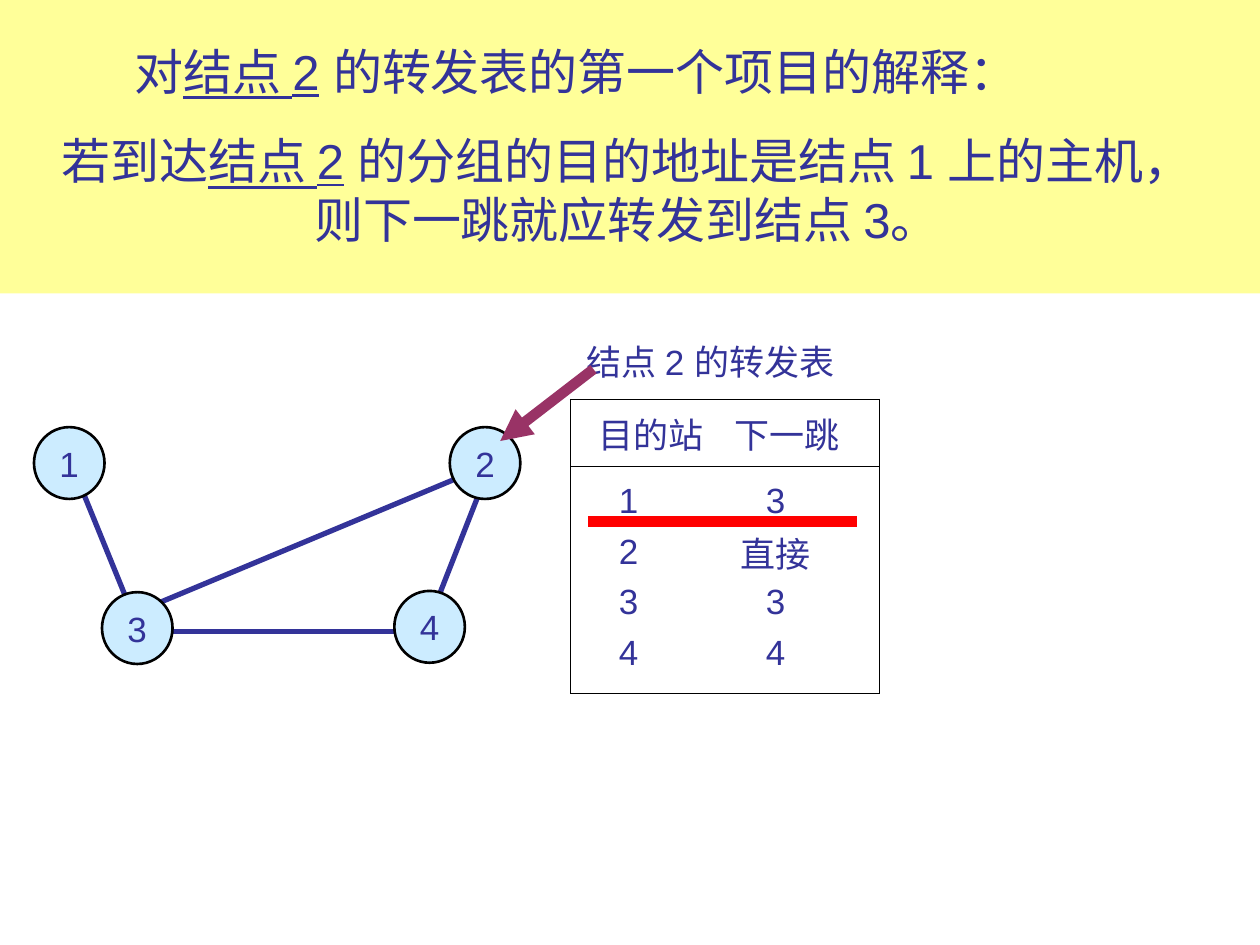
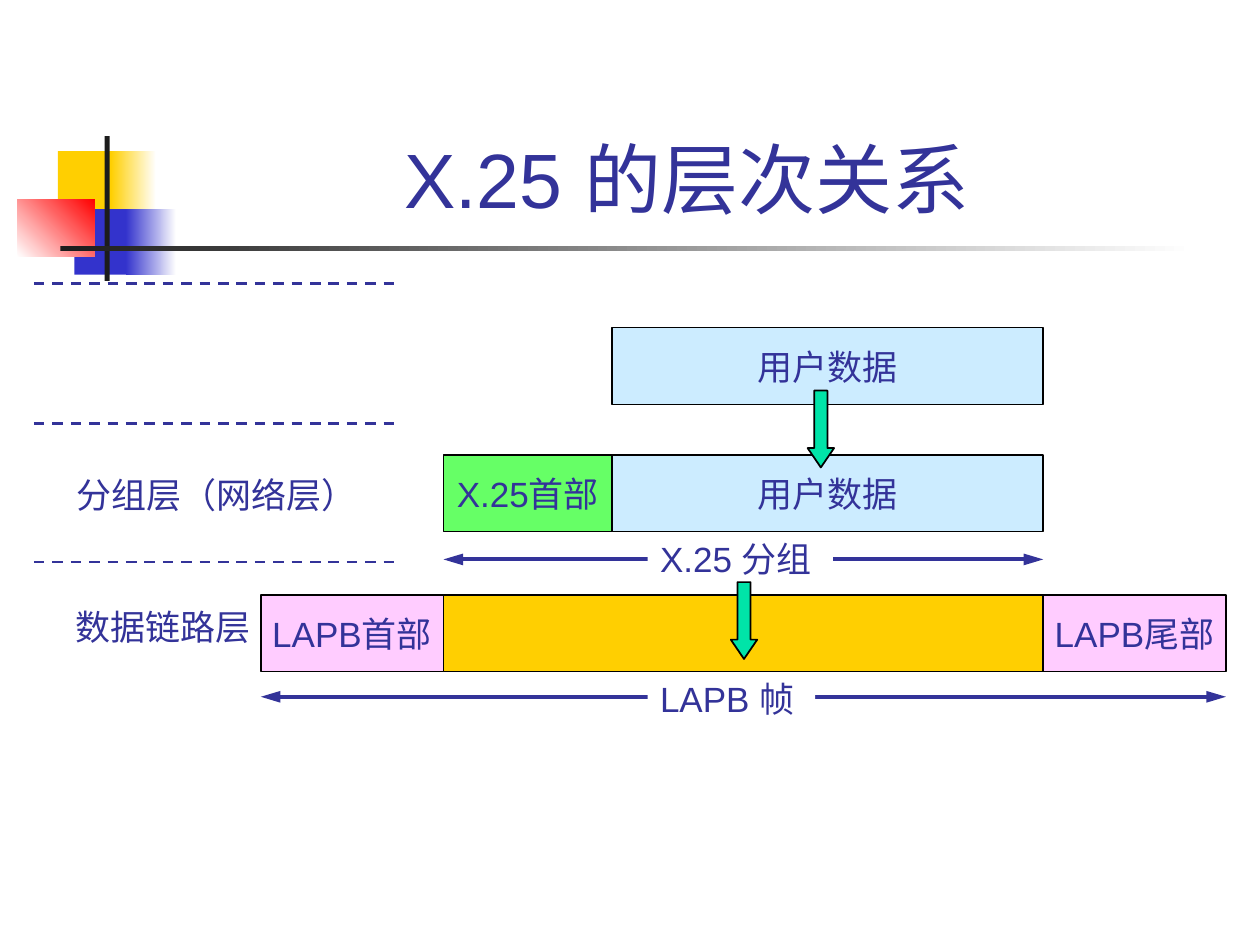
import pptx
import pptx.util
import pptx.dml.color
import pptx.enum.dml
import pptx.enum.shapes
import pptx.enum.text
import pptx.oxml.ns
from lxml import etree

Inches = pptx.util.Inches
Pt = pptx.util.Pt
RGBColor = pptx.dml.color.RGBColor
Preset = pptx.enum.shapes.MSO_SHAPE
Align = pptx.enum.text.PP_ALIGN
Anchor = pptx.enum.text.MSO_ANCHOR
qn = pptx.oxml.ns.qn

FONT = "Arial"
INDIGO = RGBColor(0x33, 0x33, 0x99)
BLACK = RGBColor(0, 0, 0)
WHITE = RGBColor(0xFF, 0xFF, 0xFF)
SKY = RGBColor(0xCC, 0xEC, 0xFF)
CREAM = RGBColor(0xFF, 0xFF, 0x99)
RED = RGBColor(0xFF, 0, 0)
PLUM = RGBColor(0x99, 0x33, 0x66)
GOLD = RGBColor(0xFF, 0xCF, 0x01)
BLUE = RGBColor(0x33, 0x33, 0xCC)
CHARCOAL = RGBColor(0x1C, 0x1C, 0x1C)
GREEN = RGBColor(0x66, 0xFF, 0x66)
PINK = RGBColor(0xFF, 0xCC, 0xFF)
TEAL = RGBColor(0, 0xE4, 0xA8)


def add_box(slide, preset, place, fill=None, border=0, text="", size=20, align=Align.CENTER):
    """Add a preset shape, or a text box if preset is None; text between bars is underlined."""
    place = [Inches(value) for value in place]
    if preset is None:
        shape = slide.shapes.add_textbox(*place)
    else:
        shape = slide.shapes.add_shape(preset, *place)
        shape.shadow.inherit = False
        if border:
            shape.line.color.rgb = BLACK
            shape.line.width = Pt(border)
        else:
            shape.line.fill.background()
    if fill is not None:
        shape.fill.solid()
        shape.fill.fore_color.rgb = fill
    if text:
        frame = shape.text_frame
        frame.word_wrap = preset is None
        frame.vertical_anchor = Anchor.TOP if preset is None else Anchor.MIDDLE
        if align == Align.LEFT:
            frame.margin_right = 0
        for index, content in enumerate(text.split("\n")):
            paragraph = frame.add_paragraph() if index else frame.paragraphs[0]
            paragraph.alignment = align
            for position, piece in enumerate(content.split("|")):
                run = paragraph.add_run()
                run.text = piece
                run.font.name = FONT
                run.font.size = Pt(size)
                run.font.color.rgb = INDIGO
                if position % 2:
                    run.font.underline = True
    return shape


def add_line(slide, start, end, color=INDIGO, width=3, heads=(), head_length="med"):
    """Add a straight line; heads lists headEnd and/or tailEnd."""
    ends = [Inches(value) for value in (*start, *end)]
    line = slide.shapes.add_connector(pptx.enum.shapes.MSO_CONNECTOR.STRAIGHT, *ends)
    line.line.color.rgb = color
    line.line.width = Pt(width)
    outline = line.line._get_or_add_ln()
    for head in heads:
        etree.SubElement(outline, qn("a:" + head), type="triangle", w="med", len=head_length)
    etree.SubElement(line._element.spPr, qn("a:effectLst"))
    return line


presentation = pptx.Presentation()
presentation.slide_width = Inches(10)
presentation.slide_height = Inches(7.5)

# Slide 1: network and forwarding table of node 2
slide = presentation.slides.add_slide(presentation.slide_layouts[6])

links = [
    ((3.84, 3.82), (3.44, 4.84)),
    ((0.64, 3.86), (1.08, 4.94)),
    ((1.2, 5.01), (3.23, 5.01)),
    ((1.2, 4.81), (3.69, 3.77)),
]
for start, end in links:
    add_line(slide, start, end)

nodes = {"1": (0.27, 3.39), "2": (3.57, 3.39), "4": (3.13, 4.69), "3": (0.81, 4.7)}
for name, corner in nodes.items():
    add_box(slide, Preset.OVAL, (*corner, 0.56, 0.57), SKY, 1.5, name)

rows = [("目的站", "下一跳"), ("1", "3"), ("2", "直接"), ("3", "3"), ("4", "4")]
row_heights = [0.53, 0.48, 0.4, 0.4, 0.52]
column_widths = [1.28, 1.17]
header_margins = [0, 0.29]
body_margins = [0.36, 0.48]
table_frame = slide.shapes.add_table(
    len(rows), 2, Inches(4.53), Inches(3.17), Inches(sum(column_widths)), Inches(sum(row_heights))
)
table = table_frame.table
table.first_row = table.horz_banding = False
for column, width in zip(table.columns, column_widths):
    column.width = Inches(width)
last_row = len(rows) - 1
for row_index, values in enumerate(rows):
    table.rows[row_index].height = Inches(row_heights[row_index])
    right_margins = body_margins if row_index else header_margins
    for column_index, value in enumerate(values):
        cell = table.cell(row_index, column_index)
        cell.text = value
        cell.vertical_anchor = Anchor.MIDDLE
        cell.margin_left = 0
        cell.margin_right = Inches(right_margins[column_index])
        cell.margin_top = Inches(0.08 if row_index == 1 else 0)
        cell.margin_bottom = Inches(0.12 if row_index == last_row else 0)
        cell.fill.solid()
        cell.fill.fore_color.rgb = WHITE
        paragraph = cell.text_frame.paragraphs[0]
        paragraph.alignment = Align.CENTER
        font = paragraph.runs[0].font
        font.name, font.size, font.color.rgb = FONT, Pt(20), INDIGO

        drawn_sides = {
            "lnL": column_index == 0,
            "lnR": column_index == 1,
            "lnT": row_index in (0, 1),
            "lnB": row_index in (0, last_row),
        }
        properties = cell._tc.get_or_add_tcPr()
        for position, (side, drawn) in enumerate(drawn_sides.items()):
            border = etree.Element(qn("a:" + side), w=str(Pt(0.75)))
            if drawn:
                solid = etree.SubElement(border, qn("a:solidFill"))
                etree.SubElement(solid, qn("a:srgbClr"), val=str(BLACK))
            else:
                etree.SubElement(border, qn("a:noFill"))
            properties.insert(position, border)

add_box(slide, None, (4.56, 2.65, 2.3, 0.44), text="结点 2 的转发表", align=Align.LEFT)
add_box(slide, Preset.RECTANGLE, (0, 0, 10, 2.33), CREAM)
add_box(slide, None, (0.97, 0.28, 7.4, 0.57), size=28, align=Align.LEFT,
        text="对|结点 2| 的转发表的第一个项目的解释：")
add_box(slide, None, (0.2, 0.99, 9.55, 1.04), size=28,
        text="若到达|结点 2| 的分组的目的地址是结点 1 上的主机，\n则下一跳就应转发到结点 3。")
add_line(slide, (4.67, 4.14), (6.8, 4.14), RED, 6)
add_line(slide, (4.71, 2.93), (3.97, 3.5), PLUM, 6, ["tailEnd"])

# Slide 2: X.25 layers
slide = presentation.slides.add_slide(presentation.slide_layouts[5])

ornaments = [
    ((0.46, 1.2, 0.48, 0.52), GOLD, None, 0),
    ((0.88, 1.2, 0.36, 0.52), GOLD, WHITE, 0),
    ((0.59, 1.66, 0.46, 0.52), BLUE, None, 0),
    ((1, 1.66, 0.4, 0.52), BLUE, WHITE, 0),
    ((0.14, 1.58, 0.61, 0.46), WHITE, RED, 45),
    ((0.83, 1.08, 0.04, 1.15), CHARCOAL, None, 0),
    ((0.48, 1.95, 9, 0.04), CHARCOAL, WHITE, 0),
]
for place, color, fade_color, angle in ornaments:
    shape = add_box(slide, Preset.RECTANGLE, place, color)
    if fade_color is not None:
        shape.fill.gradient()
        shape.fill.gradient_angle = angle
        for stop, stop_color in zip(shape.fill.gradient_stops, (color, fade_color)):
            stop.color.rgb = stop_color

title = slide.shapes.title
title.left, title.top, title.width, title.height = map(Inches, (1.26, 0.23, 8.52, 1.6))
title.text_frame.text = "X.25 的层次关系 "
title.text_frame.vertical_anchor = Anchor.BOTTOM
paragraph = title.text_frame.paragraphs[0]
paragraph.alignment = Align.CENTER
font = paragraph.runs[0].font
font.name, font.size, font.color.rgb = FONT, Pt(44), INDIGO

frame_left, packet_left, data_left, packet_right, frame_right = 2.07, 3.52, 4.86, 8.28, 9.73
spans = [
    (frame_left, frame_right, 5.53, (5.14, 5.33, 1.33, 0.43), "LAPB 帧"),
    (packet_left, packet_right, 4.44, (5.14, 4.22, 1.47, 0.43), "X.25 分组"),
]
for left, right, y, label_place, label in spans:
    add_line(slide, (left, y), (right, y), width=2.25, heads=["headEnd", "tailEnd"], head_length="lg")
    add_box(slide, None, label_place, WHITE, text=label, align=Align.LEFT)

add_box(slide, None, (0.51, 3.71, 2.43, 0.43), text="分组层（网络层）", align=Align.LEFT)
add_box(slide, None, (0.5, 4.76, 1.59, 0.43), text="数据链路层", align=Align.LEFT)

bar_height = 0.61
fields = [
    (data_left, packet_right, 2.6, SKY, "用户数据"),
    (data_left, packet_right, 3.61, SKY, "用户数据"),
    (packet_left, data_left, 3.61, GREEN, "X.25首部"),
    (frame_left, packet_left, 4.72, PINK, "LAPB首部"),
    (packet_left, packet_right, 4.72, GOLD, ""),
    (packet_right, frame_right, 4.72, PINK, "LAPB尾部"),
]
for left, right, top, color, label in fields:
    add_box(slide, Preset.RECTANGLE, (left, top, right - left, bar_height), color, 1, label)

for left, top in [(6.41, 3.1), (5.8, 4.62)]:
    arrow = add_box(slide, Preset.DOWN_ARROW, (left, top, 0.21, bar_height), TEAL, 1)
    arrow.adjustments[0] = 0.5
    arrow.adjustments[1] = 0.73

for y in (4.46, 3.36, 2.25):
    divider = add_line(slide, (0.27, y), (3.19, y), width=1.5)
    divider.line.dash_style = pptx.enum.dml.MSO_LINE.DASH

presentation.save("out.pptx")
